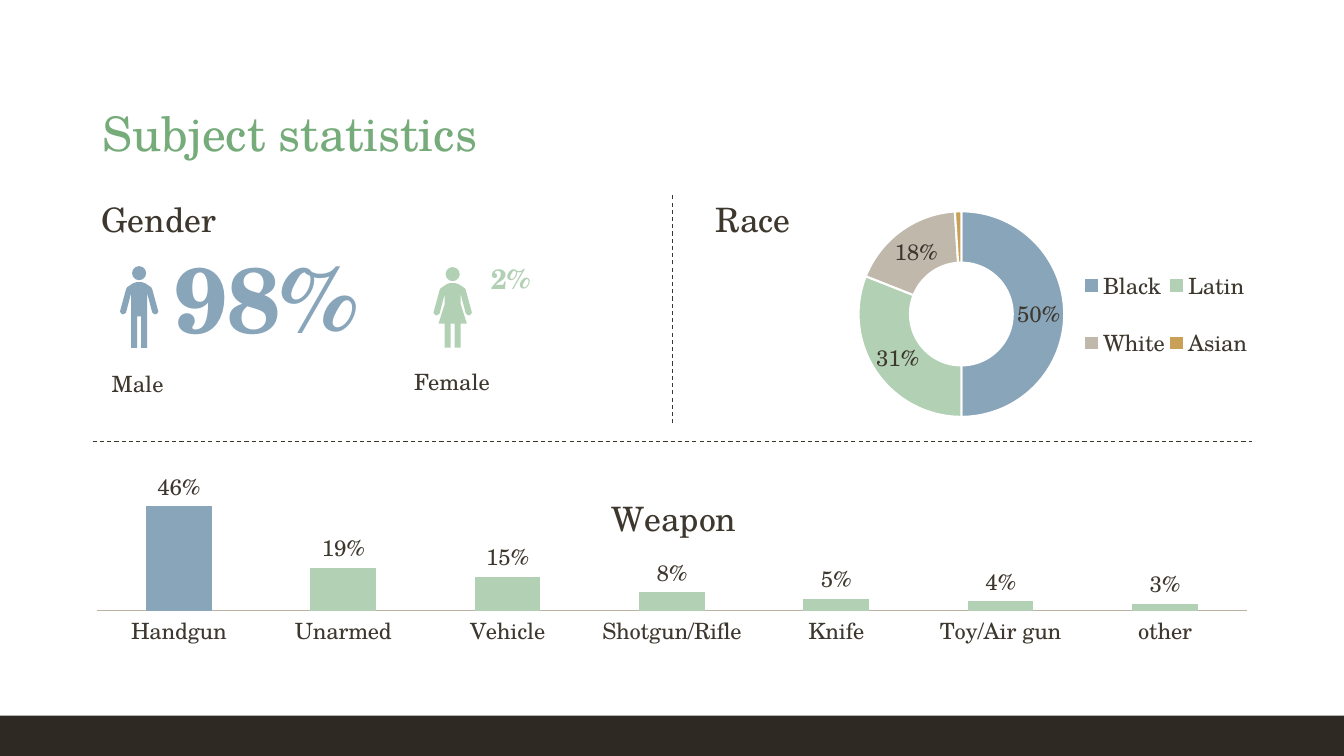
from lxml import etree
from pptx import Presentation
from pptx.chart.data import CategoryChartData
from pptx.dml.color import RGBColor
from pptx.enum.chart import XL_CHART_TYPE, XL_LABEL_POSITION, XL_LEGEND_POSITION, XL_TICK_MARK
from pptx.enum.dml import MSO_LINE
from pptx.enum.shapes import MSO_CONNECTOR, MSO_SHAPE
from pptx.enum.text import MSO_ANCHOR, MSO_AUTO_SIZE
from pptx.oxml import parse_xml
from pptx.oxml.ns import nsdecls, qn
from pptx.util import Inches, Pt

RECTANGLE, OVAL = MSO_SHAPE.RECTANGLE, MSO_SHAPE.OVAL
STRAIGHT = MSO_CONNECTOR.STRAIGHT
DASH = MSO_LINE.DASH
DOUGHNUT, COLUMN = XL_CHART_TYPE.DOUGHNUT, XL_CHART_TYPE.COLUMN_CLUSTERED
OUTSIDE_END = XL_LABEL_POSITION.OUTSIDE_END
LEGEND_RIGHT = XL_LEGEND_POSITION.RIGHT
NO_TICK = XL_TICK_MARK.NONE
ANCHOR_TOP, ANCHOR_BOTTOM = MSO_ANCHOR.TOP, MSO_ANCHOR.BOTTOM
NO_AUTOFIT = MSO_AUTO_SIZE.NONE

FONT = "TeX Gyre Schola"
INK = RGBColor(0x3D, 0x37, 0x2E)
FOOTER = RGBColor(0x2E, 0x29, 0x23)
TITLE_GREEN = RGBColor(0x76, 0xAB, 0x7A)
BLUE = RGBColor(0x88, 0xA5, 0xBA)
GREEN = RGBColor(0xB2, 0xD0, 0xB4)
TAUPE = RGBColor(0xC1, 0xB8, 0xAC)
GOLD = RGBColor(0xC9, 0xA0, 0x57)
AXIS_GREY = RGBColor(0xBA, 0xB1, 0xA3)
WHITE = RGBColor(0xFF, 0xFF, 0xFF)


def style_font(font, size, color=INK, bold=False):
    font.name, font.size, font.bold = FONT, Pt(size), bold
    font.color.rgb = color


def set_layout(parent, index, **fractions):
    """Place a chart part by fractions of the chart's width and height."""
    for old in parent.findall(qn("c:layout")):
        parent.remove(old)
    layout = parse_xml(f"<c:layout {nsdecls('c')}><c:manualLayout/></c:layout>")
    for name, value in fractions.items():
        etree.SubElement(layout[0], qn(f"c:{name}")).set("val", str(value))
    parent.insert(index, layout)


deck = Presentation()
deck.slide_width, deck.slide_height = Inches(13.33), Inches(7.5)
page = deck.slides.add_slide(deck.slide_layouts[6])

footer = page.shapes.add_shape(RECTANGLE, 0, Inches(7.1), Inches(13.33), Inches(0.4))
footer.shadow.inherit = False
footer.fill.solid()
footer.fill.fore_color.rgb = FOOTER
footer.line.fill.background()

# Text: wording, left, top, width, height, size, colour, bold, wrap, line spacing, space before
texts = [
    ("Subject statistics", 0.92, 0.4, 11.5, 1.25, 34, TITLE_GREEN, False, True, 0.9, 0),
    ("Gender", 0.91, 1.92, 1.35, 0.5, 24, INK, False, False, 1.0, 0),
    ("Race", 7, 1.92, 0.95, 0.5, 24, INK, False, False, 1.0, 0),
    ("Male", 1.01, 3.62, 0.72, 0.37, 16, INK, False, False, 1.0, 0),
    ("Female", 4.01, 3.6, 0.97, 0.37, 16, INK, False, False, 1.0, 0),
    ("98%", 1.63, 2.64, 2.17, 0.89, 66, BLUE, True, True, 0.7, 4.5),
    ("2%", 4.77, 2.64, 2.17, 0.34, 20, GREEN, True, True, 0.7, 4.5),
]
for wording, left, top, width, height, size, color, bold, wrap, spacing, before in texts:
    box = page.shapes.add_textbox(Inches(left), Inches(top), Inches(width), Inches(height))
    frame = box.text_frame
    frame.word_wrap = wrap
    frame.auto_size = NO_AUTOFIT
    frame.vertical_anchor = ANCHOR_BOTTOM if color == TITLE_GREEN else ANCHOR_TOP
    para = frame.paragraphs[0]
    para.line_spacing, para.space_before = spacing, Pt(before)
    span = para.add_run()
    span.text = wording
    style_font(span.font, size, color, bold)

for x1, y1, x2, y2 in [(0.92, 4.38, 12.42, 4.38), (6.67, 4.2, 6.67, 1.92)]:
    divider = page.shapes.add_connector(STRAIGHT, Inches(x1), Inches(y1), Inches(x2), Inches(y2))
    divider.line.color.rgb = INK
    divider.line.width = Pt(0.75)
    divider.line.dash_style = DASH
    etree.SubElement(divider.element.spPr, qn("a:effectLst"))

# Right half of each body, measured from the neck; the left half mirrors it
shoulder_and_arm = [(0, 0), (0.03, 0), (0.06, 0.01), (0.09, 0.03), (0.12, 0.05), (0.13, 0.07),
                    (0.19, 0.29), (0.18, 0.31), (0.16, 0.32), (0.14, 0.31), (0.13, 0.3), (0.08, 0.11)]
trouser_legs = [(0.08, 0.65), (0.02, 0.65), (0.02, 0.34)]
skirt_and_legs = [(0.08, 0.21), (0.14, 0.4), (0.08, 0.4), (0.08, 0.64), (0.02, 0.64), (0.02, 0.4)]
for center, head_top, color, lower_body in [(1.38, 2.64, BLUE, trouser_legs),
                                            (4.49, 2.65, GREEN, skirt_and_legs)]:
    person = page.shapes.add_group_shape()
    head = person.shapes.add_shape(OVAL, Inches(center - 0.07), Inches(head_top),
                                   Inches(0.14), Inches(0.14))
    right_half = shoulder_and_arm + lower_body
    outline = right_half + [(-x, y) for x, y in reversed(right_half[1:])]
    points = [(Inches(center + x), Inches(head_top + 0.16 + y)) for x, y in outline]
    builder = person.shapes.build_freeform(*points[0])
    builder.add_line_segments(points[1:], close=True)
    for part in (head, builder.convert_to_shape()):
        part.shadow.inherit = False
        part.fill.solid()
        part.fill.fore_color.rgb = color
        part.line.fill.background()

races = CategoryChartData(number_format="0%")
races.categories = ["Black", "Latin", "White", "Asian"]
races.add_series("Series 1", (0.5, 0.31, 0.18, 0.01))
race_chart = page.shapes.add_chart(DOUGHNUT, Inches(6.08), Inches(1.77),
                                   Inches(6.34), Inches(2.72), races).chart
race_chart.has_title = False
race_chart.has_legend = True
legend = race_chart.legend
legend.position = LEGEND_RIGHT
legend.include_in_layout = False
style_font(legend.font, 16)
set_layout(legend._element, 1, xMode="edge", yMode="edge", x=0.73, y=0.24, w=0.27, h=0.51)

weapons = CategoryChartData(number_format="0%")
weapons.categories = ["Handgun", "Unarmed", "Vehicle", "Shotgun/Rifle", "Knife", "Toy/Air gun", "other"]
weapons.add_series("Series 1", (0.46, 0.19, 0.15, 0.08, 0.05, 0.04, 0.03))
weapon_chart = page.shapes.add_chart(COLUMN, Inches(0.6), Inches(4.6),
                                     Inches(12.01), Inches(1.97), weapons).chart
weapon_chart.has_legend = False
weapon_chart.has_title = True
weapon_title = weapon_chart.chart_title
span = weapon_title.text_frame.paragraphs[0].add_run()
span.text = "Weapon"
style_font(span.font, 24)
weapon_title.include_in_layout = True
set_layout(weapon_title._element, 1, xMode="edge", yMode="edge", x=0.45, y=0.1)

weapon_axis = weapon_chart.category_axis
weapon_axis.major_tick_mark = weapon_axis.minor_tick_mark = NO_TICK
weapon_axis.format.line.color.rgb = AXIS_GREY
weapon_axis.format.line.width = Pt(0.75)
style_font(weapon_axis.tick_labels.font, 16)
share_axis = weapon_chart.value_axis
share_axis.minimum_scale, share_axis.maximum_scale = 0, 0.5
share_axis.has_major_gridlines = False
share_axis.visible = False

charts = [
    (race_chart, [BLUE, GREEN, TAUPE, GOLD], dict(x=0.18, y=0.12, w=0.73, h=0.75)),
    (weapon_chart, [BLUE] + [GREEN] * 6, dict(x=0.03, y=0.17, w=0.95, h=0.57)),
]
for chart, colors, area in charts:
    style_font(chart.font, 10, WHITE)
    plot = chart.plots[0]
    set_layout(plot._element.getparent(), 0, layoutTarget="inner", xMode="edge", yMode="edge", **area)
    series = plot.series[0]
    for index, color in enumerate(colors):
        point = series.points[index].format
        point.fill.solid()
        point.fill.fore_color.rgb = color
        if chart is race_chart:
            point.line.color.rgb = WHITE
            point.line.width = Pt(1.5)
    labels = series.data_labels
    labels.show_value = True
    labels.number_format, labels.number_format_is_linked = "0%", False
    style_font(labels.font, 16)

race_plot, weapon_plot = race_chart.plots[0], weapon_chart.plots[0]
race_plot._element.find(qn("c:holeSize")).set("val", "60")
race_plot.series[0].data_labels._element.insert(0, parse_xml(
    f'<c:dLbl {nsdecls("c")}><c:idx val="3"/><c:delete val="1"/></c:dLbl>'))
weapon_plot.vary_by_categories = False
weapon_plot.gap_width, weapon_plot.overlap = 150, -25
weapon_plot.series[0].format.fill.solid()
weapon_plot.series[0].format.fill.fore_color.rgb = GREEN
weapon_plot.series[0].data_labels.position = OUTSIDE_END

deck.save("out.pptx")
